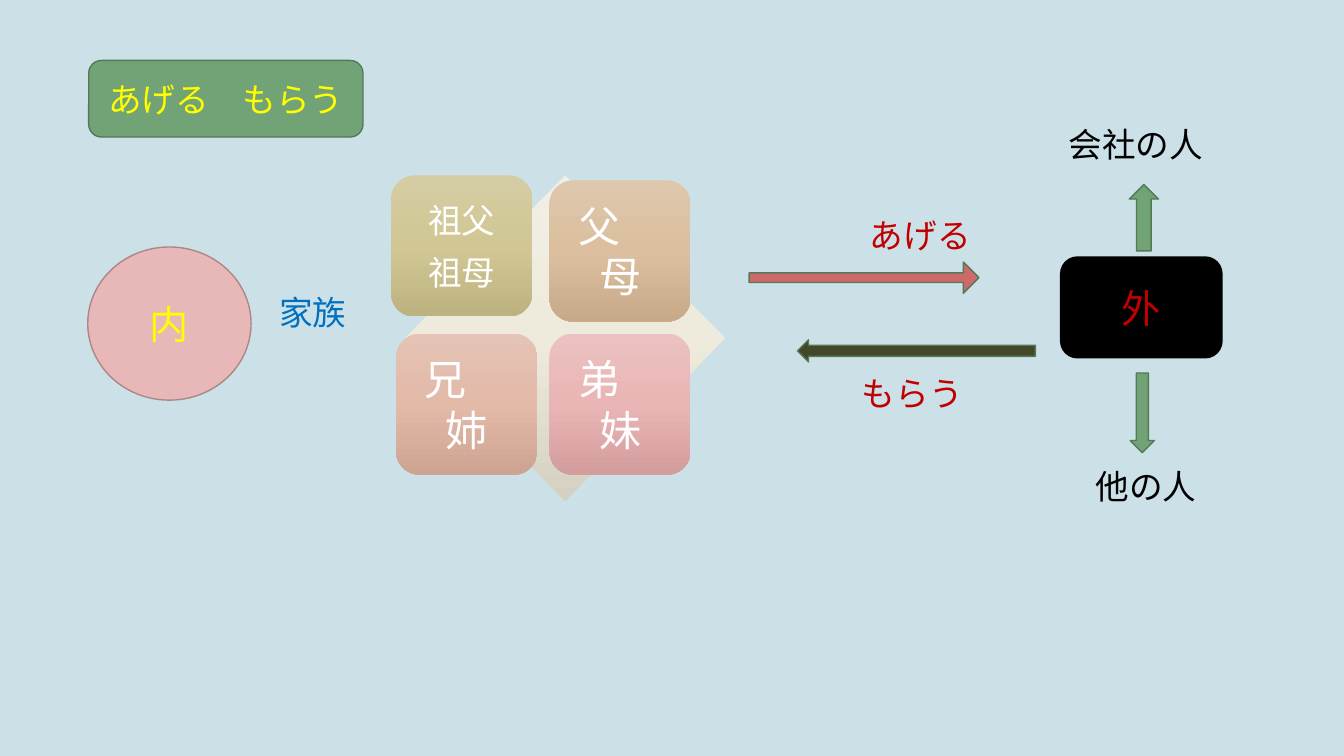
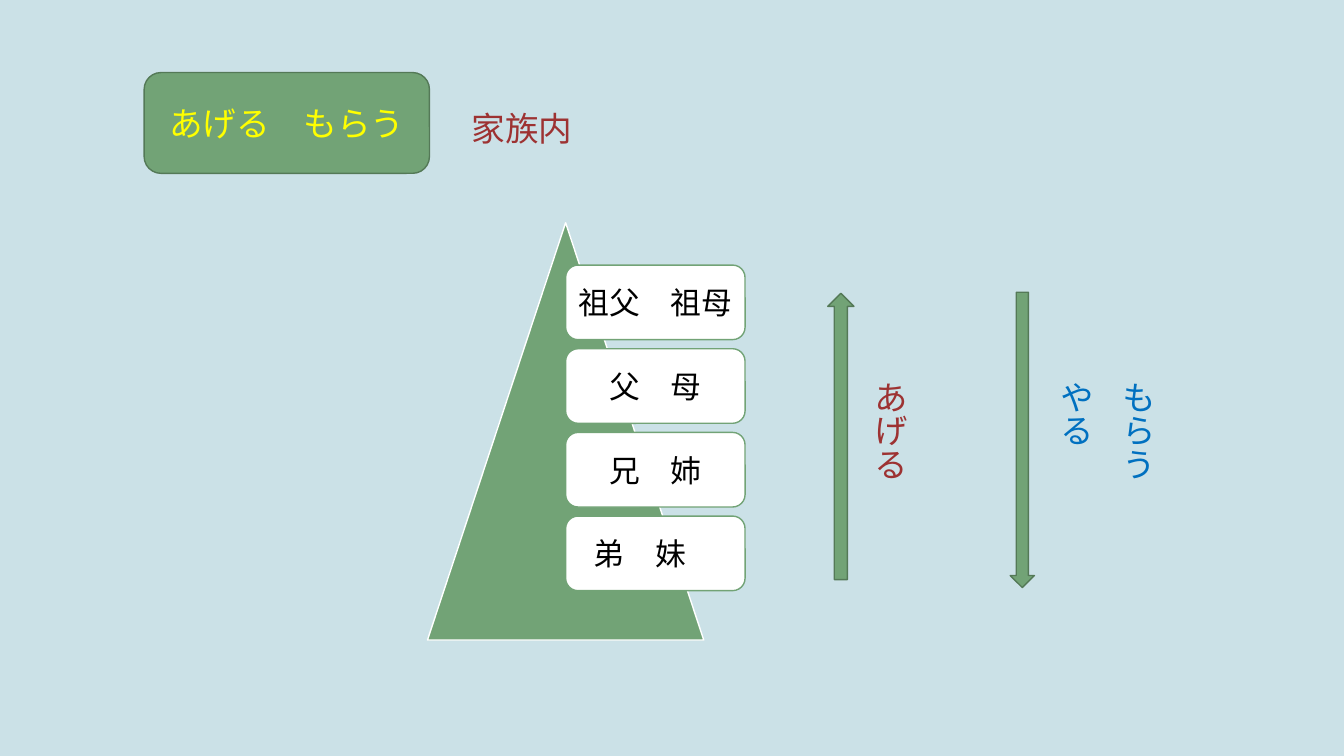
from copy import deepcopy
from dataclasses import dataclass
from typing import Optional

from lxml import etree
from pptx import Presentation
from pptx.dml.color import RGBColor
from pptx.enum.shapes import MSO_SHAPE
from pptx.enum.text import MSO_ANCHOR, PP_ALIGN
from pptx.oxml.ns import qn
from pptx.shapes.autoshape import Shape
from pptx.slide import Slide
from pptx.util import Inches, Pt

ROUNDED = MSO_SHAPE.ROUNDED_RECTANGLE
OVAL = MSO_SHAPE.OVAL
DIAMOND = MSO_SHAPE.DIAMOND
TRIANGLE = MSO_SHAPE.ISOSCELES_TRIANGLE
RIGHT = MSO_SHAPE.RIGHT_ARROW
LEFT = MSO_SHAPE.LEFT_ARROW
UP = MSO_SHAPE.UP_ARROW
DOWN = MSO_SHAPE.DOWN_ARROW
MIDDLE = MSO_ANCHOR.MIDDLE
TOP = MSO_ANCHOR.TOP
CENTER = PP_ALIGN.CENTER
BLANK_LAYOUT = 6

Box = tuple[float, float, float, float]


@dataclass(frozen=True)
class Theme:
    font: str = "Noto Sans CJK SC"
    background: str = "CBE1E7"
    green: str = "72A376"
    green_edge: str = "547957"
    pink: str = "E8B7B7"
    pink_edge: str = "AC8787"
    coral: str = "CF6868"
    olive: str = "45472B"
    yellow: str = "FFFF00"
    blue: str = "0070C0"
    red: str = "C00000"
    brick: str = "9D3232"
    black: str = "000000"
    white: str = "FFFFFF"
    band_size: float = 22
    body_size: float = 24
    emphasis_size: float = 28
    card_size: float = 30
    leading: float = 1.2
    paragraph_gap: float = 0.35


THEME = Theme()


@dataclass(frozen=True)
class Label:
    text: str
    box: Box
    color: str
    vertical: bool = False
    leading: float = THEME.leading


@dataclass(frozen=True)
class Arrow:
    kind: MSO_SHAPE
    box: Box
    fill: str = THEME.green
    shaft: float = 0.5


@dataclass(frozen=True)
class FamilyCard:
    text: str
    left: float
    top: float
    gradient: tuple[str, str, str]
    size: float = THEME.card_size
    inset: float = 0.05


CARD_SIDE = 1.4
DIAMOND_GRADIENT = ("F1EFE5", "EEEADC", "D5D1C2")
FAMILY_CARDS = (
    FamilyCard("祖父\n祖母", 3.88, 1.74, ("D4CCA3", "D1C794", "BDB380"), THEME.body_size, 0.03),
    FamilyCard("父　母", 5.45, 1.79, ("DDC7AD", "DBBF9E", "C6AA89")),
    FamilyCard("兄　姉", 3.93, 3.31, ("E5C3B6", "E3B9A8", "CDA392")),
    FamilyCard("弟　妹", 5.45, 3.31, ("ECC1C1", "EAB5B5", "D49D9D")),
)
OUTSIDE_LABELS = (
    Label("家族", (2.67, 2.85, 0.96, 0.5), THEME.blue),
    Label("会社の人", (10.5, 1.18, 1.84, 0.5), THEME.black),
    Label("他の人", (10.77, 4.57, 1.54, 0.5), THEME.black),
    Label("あげる", (8.53, 2.08, 1.36, 0.5), THEME.red),
    Label("もらう", (8.45, 3.65, 1.58, 0.5), THEME.red),
)
OUTSIDE_ARROWS = (
    Arrow(RIGHT, (7.43, 2.6, 2.28, 0.31), THEME.coral, 0.31),
    Arrow(LEFT, (7.91, 3.37, 2.36, 0.22), THEME.olive),
    Arrow(DOWN, (11.21, 3.7, 0.24, 0.79)),
    Arrow(UP, (11.2, 1.83, 0.29, 0.66)),
)

GENERATIONS = ("祖父　祖母", "父　母", "兄　姉", "弟　妹　")
BAND_LEFT, BAND_TOP, BAND_WIDTH, BAND_HEIGHT = 5.61, 2.63, 1.78, 0.74
BAND_PITCH = 0.83
RANK_LABELS = (
    Label("家族内", (4.58, 1.02, 3.79, 0.5), THEME.brick),
    Label("あげる", (8.48, 3.68, 0.6, 2.67), THEME.brick, True),
    Label("もらう\nやる", (10.63, 3.68, 1.11, 1.76), THEME.blue, True, 1.82),
)
RANK_ARROWS = (
    Arrow(UP, (8.21, 2.91, 0.26, 2.84)),
    Arrow(DOWN, (10.02, 2.9, 0.24, 2.93)),
)


def rgb(color: str) -> RGBColor:
    return RGBColor.from_string(color)


def write(shape: Shape, text: str, size: float, color: str,
          align: Optional[PP_ALIGN] = None, leading: float = THEME.leading) -> None:
    frame = shape.text_frame
    frame.text = text
    frame.word_wrap = True
    frame.vertical_anchor = MIDDLE
    for paragraph in frame.paragraphs:
        paragraph.alignment = align
        paragraph.line_spacing = Pt(round(size * leading, 1))
        for run in paragraph.runs:
            run.font.size = Pt(size)
            run.font.name = THEME.font
            run.font.color.rgb = rgb(color)
            east_asian = etree.SubElement(run.font._element, qn("a:ea"))
            east_asian.set("typeface", THEME.font)


def set_insets(shape: Shape, horizontal: float, vertical: float) -> None:
    frame = shape.text_frame
    frame.margin_left = frame.margin_right = Inches(horizontal)
    frame.margin_top = frame.margin_bottom = Inches(vertical)


def add_figure(slide: Slide, kind: MSO_SHAPE, box: Box,
               fill: Optional[str] = None, edge: Optional[str] = None) -> Shape:
    figure = slide.shapes.add_shape(kind, *map(Inches, box))
    figure.shadow.inherit = False
    if fill:
        figure.fill.solid()
        figure.fill.fore_color.rgb = rgb(fill)
    if edge:
        figure.line.color.rgb = rgb(edge)
        figure.line.width = Pt(1)
    else:
        figure.line.fill.background()
    return figure


def add_gradient_figure(slide: Slide, kind: MSO_SHAPE, box: Box,
                        colors: tuple[str, str, str]) -> Shape:
    figure = add_figure(slide, kind, box)
    figure.fill.gradient()
    figure.fill.gradient_angle = 270
    stop_list = figure._element.spPr.find(".//" + qn("a:gsLst"))
    stop_list.append(deepcopy(stop_list[0]))
    for stop, color, position in zip(figure.fill.gradient_stops, colors, (0, 0.5, 1)):
        stop.color.rgb = rgb(color)
        stop.position = position
    return figure


def add_heading(slide: Slide, box: Box) -> None:
    heading = add_figure(slide, ROUNDED, box, THEME.green, THEME.green_edge)
    write(heading, "あげる　もらう", THEME.body_size, THEME.yellow, CENTER)


def add_label(slide: Slide, label: Label) -> None:
    caption = slide.shapes.add_textbox(*map(Inches, label.box))
    write(caption, label.text, THEME.body_size, label.color, leading=label.leading)
    if label.vertical:
        caption.text_frame.vertical_anchor = TOP
        caption.text_frame._txBody.bodyPr.set("vert", "eaVert")
    else:
        set_insets(caption, 0.1, 0)


def add_arrow(slide: Slide, arrow: Arrow) -> None:
    figure = add_figure(slide, arrow.kind, arrow.box, arrow.fill, THEME.green_edge)
    figure.adjustments[0] = arrow.shaft


def add_family_card(slide: Slide, card: FamilyCard) -> None:
    box = (card.left, card.top, CARD_SIDE, CARD_SIDE)
    figure = add_gradient_figure(slide, ROUNDED, box, card.gradient)
    write(figure, card.text, card.size, THEME.white, CENTER)
    set_insets(figure, card.inset, card.inset)
    for paragraph in figure.text_frame.paragraphs:
        paragraph.space_after = Pt(round(card.size * THEME.paragraph_gap, 1))


def add_labels_and_arrows(slide: Slide, labels: tuple[Label, ...],
                          arrows: tuple[Arrow, ...]) -> None:
    for label in labels:
        add_label(slide, label)
    for arrow in arrows:
        add_arrow(slide, arrow)


def build_inside_outside(slide: Slide) -> None:
    add_heading(slide, (0.88, 0.6, 2.72, 0.76))
    inside = add_figure(slide, OVAL, (0.87, 2.45, 1.62, 1.52), THEME.pink, THEME.pink_edge)
    write(inside, "内", THEME.emphasis_size, THEME.yellow, CENTER)
    add_gradient_figure(slide, DIAMOND, (4.02, 1.74, 3.17, 3.23), DIAMOND_GRADIENT)
    for card in FAMILY_CARDS:
        add_family_card(slide, card)
    outside = add_figure(slide, ROUNDED, (10.52, 2.55, 1.6, 1), THEME.black, THEME.black)
    write(outside, "外", THEME.emphasis_size, THEME.red, CENTER)
    add_labels_and_arrows(slide, OUTSIDE_LABELS, OUTSIDE_ARROWS)


def build_family_rank(slide: Slide) -> None:
    add_heading(slide, (1.43, 0.72, 2.83, 1))
    add_figure(slide, TRIANGLE, (4.24, 2.21, 2.74, 4.14), THEME.green, THEME.white)
    for row, generation in enumerate(GENERATIONS):
        box = (BAND_LEFT, BAND_TOP + row * BAND_PITCH, BAND_WIDTH, BAND_HEIGHT)
        band = add_figure(slide, ROUNDED, box, THEME.white, THEME.green)
        write(band, generation, THEME.band_size, THEME.black, CENTER)
        set_insets(band, 0.05, 0.05)
    add_labels_and_arrows(slide, RANK_LABELS, RANK_ARROWS)


def main() -> None:
    deck = Presentation()
    deck.slide_width, deck.slide_height = Inches(13.33), Inches(7.5)
    backdrop = deck.slide_master.background.fill
    backdrop.solid()
    backdrop.fore_color.rgb = rgb(THEME.background)
    for build in (build_inside_outside, build_family_rank):
        build(deck.slides.add_slide(deck.slide_layouts[BLANK_LAYOUT]))
    deck.save("out.pptx")


if __name__ == "__main__":
    main()
